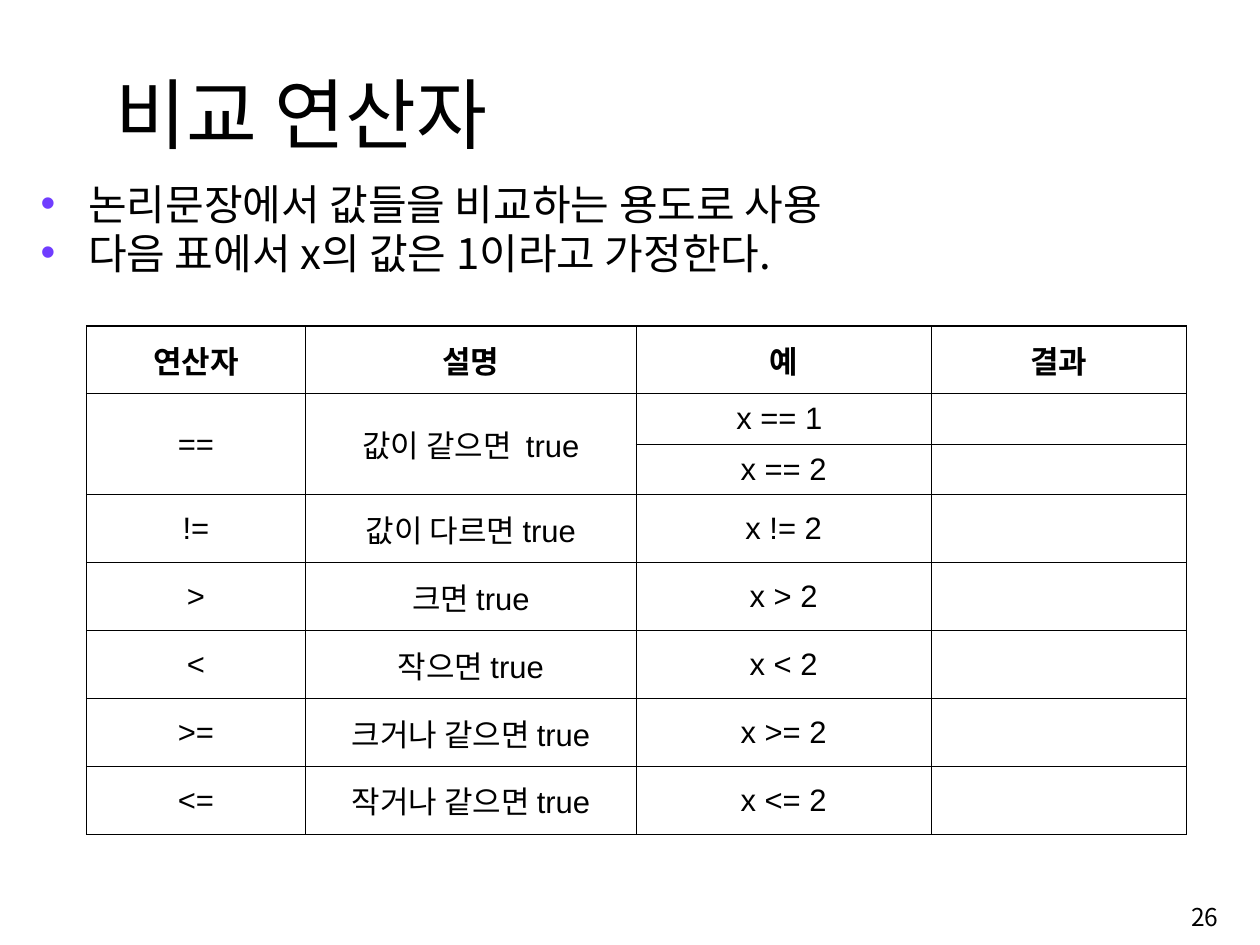
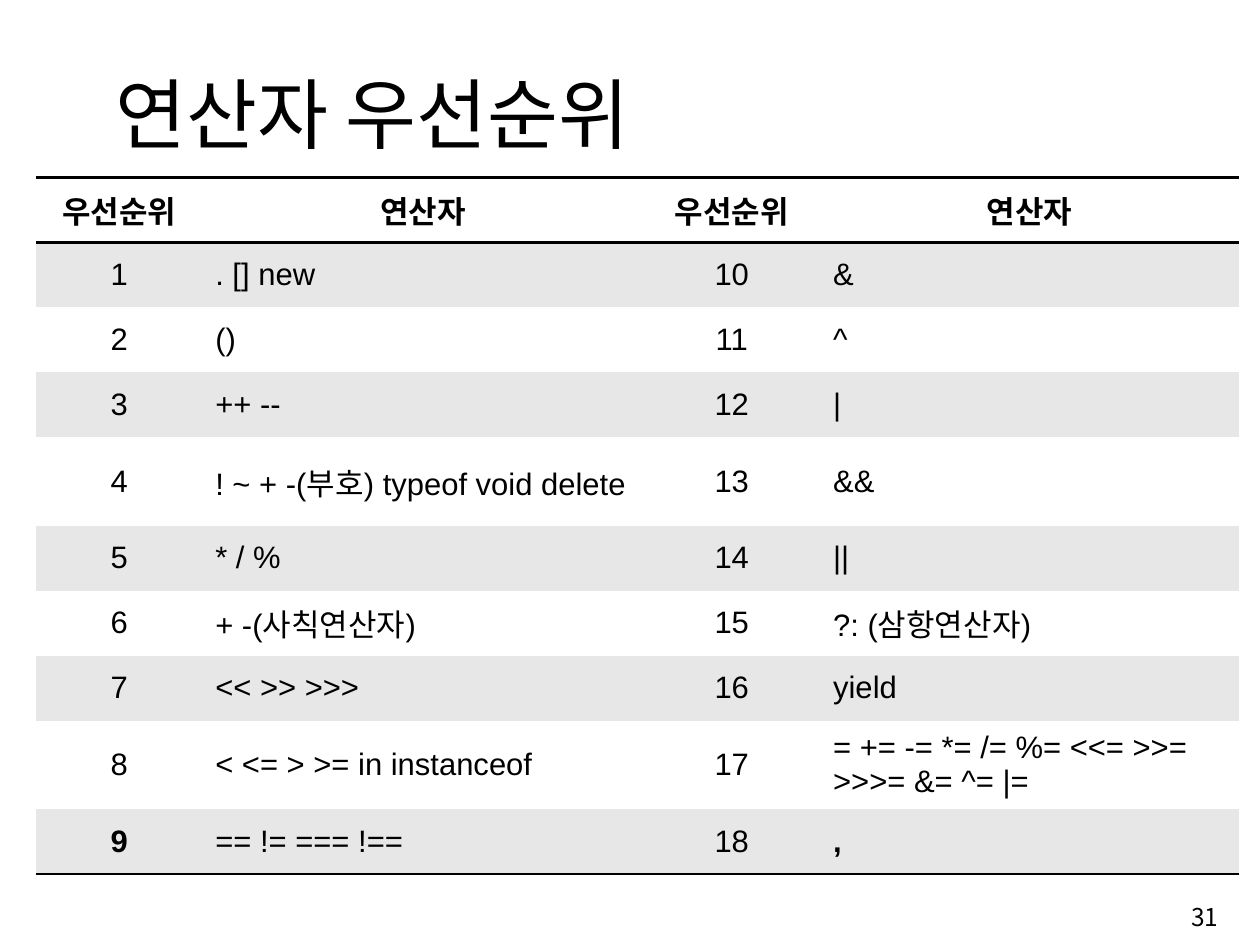
import dataclasses

import lxml.etree
import pptx
import pptx.dml.color
import pptx.enum.text
import pptx.oxml.ns
import pptx.util

Inches = pptx.util.Inches
Pt = pptx.util.Pt
Align = pptx.enum.text.PP_ALIGN
Anchor = pptx.enum.text.MSO_ANCHOR
qn = pptx.oxml.ns.qn


@dataclasses.dataclass(frozen=True)
class Theme:
    ink: str = "000000"
    paper: str = "FFFFFF"
    band: str = "E7E7E7"
    dot: str = "703DFF"
    font: str = "Noto Sans CJK KR"
    latin: str = "Arial"
    title: float = 57.2
    body: float = 31.2
    cell: float = 23
    foot: float = 18.2


def color(code):
    return pptx.dml.color.RGBColor.from_string(code)


def child(node, tag, **attrs):
    return lxml.etree.SubElement(node, qn(tag), attrs)


class Deck:
    def __init__(self, theme):
        self.theme = theme
        self.file = pptx.Presentation()
        self.file.slide_width = Inches(12.99)
        self.file.slide_height = Inches(9.74)
        self.slide = None

    def page(self, title, number):
        """Start a slide with its title and page number."""
        self.slide = self.file.slides.add_slide(self.file.slide_layouts[6])
        self.text([title], (1.05, 0.61, 10.61, 1.08), self.theme.title,
                  anchor=Anchor.BOTTOM, inset=0.14)
        self.text([str(number)], (9.98, 9.15, 2.68, 0.6), self.theme.foot,
                  align=Align.RIGHT, anchor=Anchor.MIDDLE)

    def style(self, para, size, latin, align, bold=False):
        para.alignment = align
        for run in para.runs:
            font = run.font
            font.size, font.bold, font.name = Pt(size), bold, latin
            font.color.rgb = color(self.theme.ink)
            child(font._element, "a:ea", typeface=self.theme.font)

    def text(self, lines, place, size, align=Align.LEFT,
             anchor=Anchor.TOP, inset=0.1):
        box = self.slide.shapes.add_textbox(*map(Inches, place))
        frame = box.text_frame
        frame.word_wrap = True
        frame.vertical_anchor = anchor
        frame.margin_left = frame.margin_right = Inches(inset)
        frame.text = "\n".join(lines)
        for para in frame.paragraphs:
            self.style(para, size, self.theme.font, align)
        return frame

    def list(self, lines, place):
        """Add bulleted lines with a hanging indent."""
        size = self.theme.body
        for para in self.text(lines, place, size).paragraphs:
            para.line_spacing = 0.8
            para.space_before = Pt(round(size * 0.2, 1))
            props = para._p.get_or_add_pPr()
            props.set("marL", str(Inches(0.49)))
            props.set("indent", str(-Inches(0.49)))
            tint = child(props, "a:buClr")
            child(tint, "a:srgbClr", val=self.theme.dot)
            child(props, "a:buFont", typeface=self.theme.latin)
            child(props, "a:buChar", char="•")

    def edge(self, cell, sides, width):
        props = cell._tc.get_or_add_tcPr()
        for side in sides:
            line = child(props, "a:ln" + side, w=str(Pt(width)))
            fill = child(line, "a:solidFill")
            child(fill, "a:srgbClr", val=self.theme.ink)

    def table(self, rows, place, widths, heights):
        """Add a plain table with a bold, centred head row."""
        shape = self.slide.shapes.add_table(
            len(rows), len(widths), *map(Inches, place))
        table = shape.table
        table.first_row = table.horz_banding = False
        plain = "{2D5ABB26-0587-4C30-8999-92F81FD0307C}"
        table._tbl.tblPr.find(qn("a:tableStyleId")).text = plain
        for col, width in zip(table.columns, widths):
            col.width = Inches(width)
        for row, height in zip(table.rows, heights):
            row.height = Inches(height)
        for r, row in enumerate(rows):
            for c, words in enumerate(row):
                cell = table.cell(r, c)
                cell.margin_left = cell.margin_right = Inches(0.13)
                cell.margin_top = cell.margin_bottom = Inches(0.06)
                cell.vertical_anchor = Anchor.MIDDLE
                cell.text_frame.text = words
                self.style(cell.text_frame.paragraphs[0], self.theme.cell,
                           self.theme.latin, Align.CENTER, r == 0)
        return table

    def paint(self, cell, code):
        cell.fill.solid()
        cell.fill.fore_color.rgb = color(code)

    def grid(self, rows, place, widths, heights, merged):
        """Add a table with every border drawn."""
        table = self.table(rows, place, widths, heights)
        for cell in table.iter_cells():
            self.edge(cell, "LRTB", 1)
            self.paint(cell, self.theme.paper)
        for top, low, col in merged:
            table.cell(top, col).merge(table.cell(low, col))

    def bands(self, rows, place, widths, heights, strong):
        """Add a table with shaded odd rows and ruled ends."""
        table = self.table(rows, place, widths, heights)
        last = len(rows) - 1
        rules = {0: "TB", last: "B"}
        for r in range(len(rows)):
            for c in range(len(widths)):
                cell = table.cell(r, c)
                self.edge(cell, rules.get(r, ""), 2)
                self.paint(cell, self.theme.band if r % 2
                           else self.theme.paper)
                para = cell.text_frame.paragraphs[0]
                if r and c % 2:
                    para.alignment = Align.LEFT
                if (r, c) in strong:
                    para.runs[0].font.bold = True


def main():
    deck = Deck(Theme())

    # Comparison operators
    deck.page("비교 연산자", 26)
    deck.list(["논리문장에서 값들을 비교하는 용도로 사용",
               "다음 표에서 x의 값은 1이라고 가정한다."],
              (0.32, 1.89, 12.32, 7.06))
    tests = [
        ("연산자", "설명", "예", "결과"),
        ("==", "값이 같으면  true", "x == 1 ", ""),
        ("", "", "x == 2", ""),
        ("!=", "값이 다르면 true", "x != 2", ""),
        (">", "크면 true", "x > 2", ""),
        ("<", "작으면 true", "x < 2", ""),
        (">=", "크거나 같으면 true", "x >= 2", ""),
        ("<=", "작거나 같으면 true", "x <= 2", ""),
    ]
    deck.grid(tests, (0.89, 3.36, 11.34, 5.25), (2.26, 3.41, 3.04, 2.63),
              [0.7] + [0.52] * 2 + [0.7] * 5, [(1, 2, 0), (1, 2, 1)])

    # Operator precedence, ranked down two column pairs
    deck.page("연산자 우선순위", 31)
    ranks = [
        ". [] new", "()", "++ --", "! ~ + -(부호) typeof void delete",
        "* / %", "+ -(사칙연산자)", "<< >> >>>",
        "< <= > >= in instanceof", "== != === !==",
        "&", "^", "|", "&&", "||", "?: (삼항연산자)", "yield",
        "= += -= *= /= %= <<= >>= >>>= &= ^= |=", ",",
    ]
    half = len(ranks) // 2
    rows = [("우선순위", "연산자") * 2]
    for i in range(half):
        rows.append((str(i + 1), ranks[i],
                     str(i + half + 1), ranks[i + half]))
    tall = (4, 8)
    heights = [0.91 if r in tall else 0.67 for r in range(len(rows))]
    deck.bands(rows, (0.37, 1.83, 12.4, 7.2), (1.72, 4.54, 1.83, 4.31),
               heights, {(half, 0), (half, 3)})

    deck.file.save("out.pptx")


if __name__ == "__main__":
    main()
